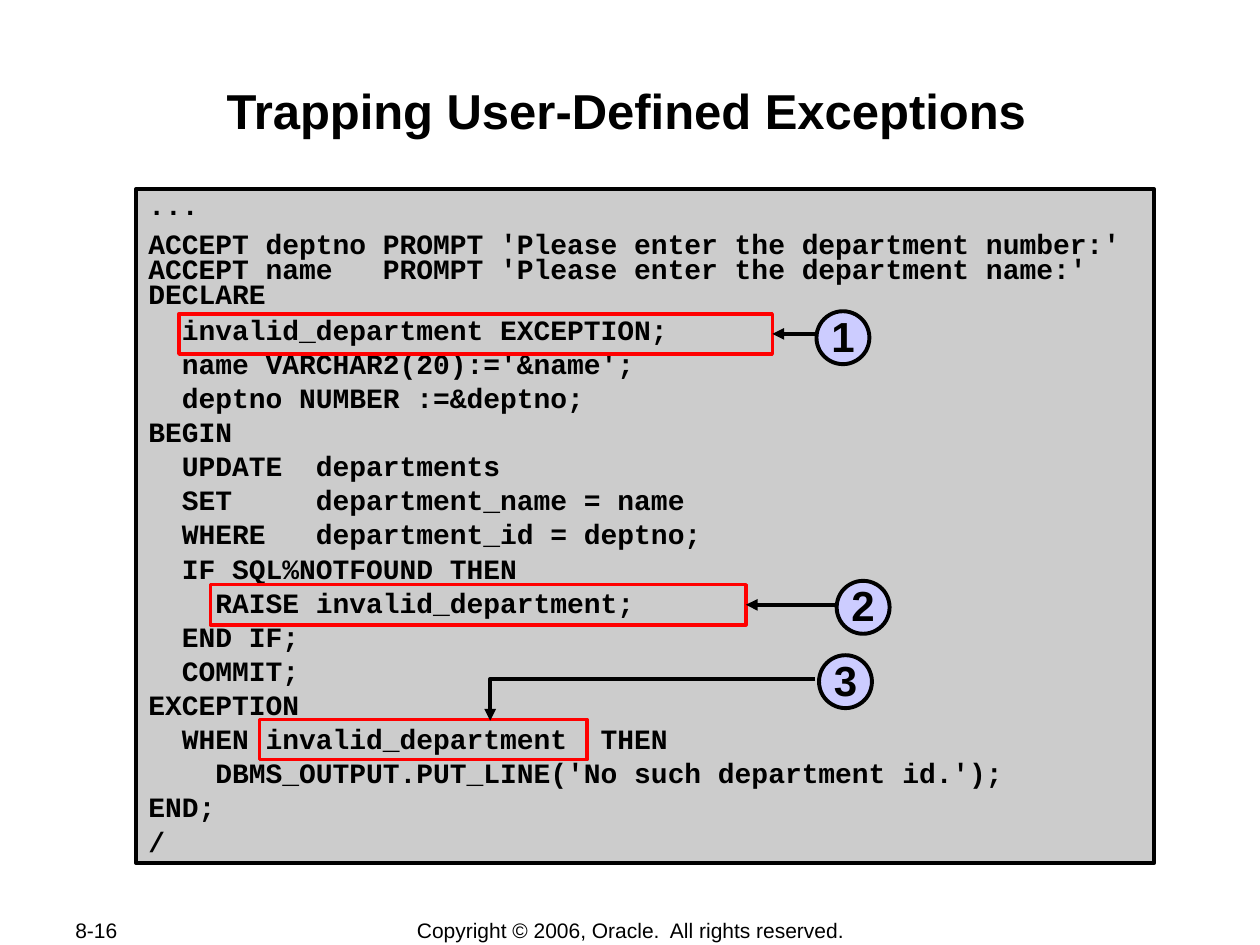
from dataclasses import dataclass

from pptx import Presentation, util as u
from pptx.dml.color import RGBColor
from pptx.enum import shapes, text
from pptx.oxml.ns import qn
from lxml import etree

COLS, ROWS = 100, 75


@dataclass(frozen=True)
class Theme:
    ink: str = "000000"
    panel: str = "CCCCCC"
    badge: str = "CCCCFF"
    mark: str = "FF0000"
    sans: str = "Arial"
    mono: str = "Courier New"
    title: int = 28
    badge_size: int = 24
    code: int = 16
    footer: int = 12
    line: float = 2.25
    mark_line: float = 2


class Deck:
    """Holds the theme and the current slide; lengths are grid columns and rows."""

    def __init__(self, theme):
        self.theme = theme
        self.prs = Presentation()
        self.prs.slide_width, self.prs.slide_height = u.Inches(10), u.Inches(7.5)
        self.s = self.prs.slides.add_slide(self.prs.slide_layouts[5])

    def x(self, cols):
        return round(self.prs.slide_width * cols / COLS)

    def y(self, rows):
        return round(self.prs.slide_height * rows / ROWS)

    def box(self, left, top, width, height):
        return self.x(left), self.y(top), self.x(width), self.y(height)

    def set_text(self, sp, lines, size, font=None, bold=True, align=text.PP_ALIGN.LEFT,
                 anchor=text.MSO_ANCHOR.MIDDLE, wrap=False, inset=(0.1, 0.05)):
        """Fills the shape with one paragraph per line and returns the paragraphs."""
        tf = sp.text_frame
        tf.text = "\n".join(lines)
        tf.word_wrap, tf.vertical_anchor = wrap, anchor
        tf.auto_size = text.MSO_AUTO_SIZE.NONE
        tf.margin_left = tf.margin_right = u.Inches(inset[0])
        tf.margin_top = tf.margin_bottom = u.Inches(inset[1])
        for p in tf.paragraphs:
            p.alignment = align
            for r in p.runs:
                r.font.name, r.font.size, r.font.bold = font or self.theme.sans, u.Pt(size), bold
                r.font.color.rgb = RGBColor.from_string(self.theme.ink)
        return tf.paragraphs

    def outline(self, sp, color, width):
        sp.line.color.rgb = RGBColor.from_string(color)
        sp.line.width = u.Pt(width)

    def title(self, words, *place):
        sp = self.s.shapes.title
        sp.left, sp.top, sp.width, sp.height = self.box(*place)
        self.set_text(sp, [words], self.theme.title, align=text.PP_ALIGN.CENTER,
                      anchor=text.MSO_ANCHOR.TOP, wrap=True, inset=(0.01, 0.06))

    def footer(self, words, align, *place):
        sp = self.s.shapes.add_textbox(*self.box(*place))
        self.set_text(sp, [words], self.theme.footer, bold=False, align=align)

    def shape(self, kind, place, fill, color, width):
        sp = self.s.shapes.add_shape(kind, *self.box(*place))
        sp.shadow.inherit = False
        if fill:
            sp.fill.solid()
            sp.fill.fore_color.rgb = RGBColor.from_string(fill)
        else:
            sp.fill.background()
        self.outline(sp, color, width)
        return sp

    def code(self, lines, tight_from, *place):
        """Code panel; lines from index tight_from on have tighter spacing."""
        t = self.theme
        sp = self.shape(shapes.MSO_SHAPE.RECTANGLE, place, t.panel, t.ink, t.line)
        paragraphs = self.set_text(sp, lines, t.code, t.mono, anchor=text.MSO_ANCHOR.TOP,
                                   wrap=True)
        for i, p in enumerate(paragraphs):
            p.line_spacing = 0.6 if i >= tight_from else 0.75
            p.space_before = u.Pt(8 if i else 0)

    def highlight(self, *place):
        t = self.theme
        return self.shape(shapes.MSO_SHAPE.RECTANGLE, place, None, t.mark, t.mark_line)

    def badge(self, number, left, top, size=4.2):
        t = self.theme
        sp = self.shape(shapes.MSO_SHAPE.OVAL, (left, top, size, size), t.badge, t.ink, t.line)
        p, = self.set_text(sp, [str(number)], t.badge_size, align=text.PP_ALIGN.CENTER,
                           inset=(0.05, 0.05))
        p.line_spacing = 0.95
        return sp

    def arrowhead(self, sp):
        self.outline(sp, self.theme.ink, self.theme.line)
        ln = sp._element.spPr.find(qn("a:ln"))
        etree.SubElement(ln, qn("a:tailEnd"), type="triangle")

    def arrow(self, badge, target):
        """Level arrow from the badge to the middle of the target's right side."""
        y = target.top + target.height // 2
        sp = self.s.shapes.add_connector(shapes.MSO_CONNECTOR.STRAIGHT, badge.left, y,
                                         target.left + target.width, y)
        sp.end_connect(target, 3)
        self.arrowhead(sp)
        etree.SubElement(sp._element.spPr, qn("a:effectLst"))

    def bent_arrow(self, *points):
        start, *rest = [(self.x(a), self.y(b)) for a, b in points]
        builder = self.s.shapes.build_freeform(*start)
        builder.add_line_segments(rest, close=False)
        sp = builder.convert_to_shape()
        sp.shadow.inherit = False
        sp.fill.background()
        self.arrowhead(sp)


CODE = [
    "...",
    "ACCEPT deptno PROMPT 'Please enter the department number:' "
    "ACCEPT name   PROMPT 'Please enter the department name:'\vDECLARE",
    "  invalid_department EXCEPTION;",
    "  name VARCHAR2(20):='&name';",
    "  deptno NUMBER :=&deptno;",
    "BEGIN",
    "  UPDATE  departments",
    "  SET     department_name = name",
    "  WHERE   department_id = deptno;",
    "  IF SQL%NOTFOUND THEN",
    "    RAISE invalid_department;",
    "  END IF;",
    "  COMMIT;",
    "EXCEPTION",
    "  WHEN invalid_department  THEN",
    "    DBMS_OUTPUT.PUT_LINE('No such department id.');",
    "END;",
    "/",
]


def main():
    d = Deck(Theme())
    d.footer("8-16", text.PP_ALIGN.LEFT, 5, 72.8, 10.6, 2)
    d.footer("Copyright © 2006, Oracle.  All rights reserved.", text.PP_ALIGN.CENTER,
             27.6, 72.8, 44.9, 2.1)
    d.title("Trapping User-Defined Exceptions", 9.7, 5.8, 80, 9.6)
    d.code(CODE, 2, 10.8, 15, 80.8, 53.5)

    declare = d.highlight(14.2, 24.9, 47.1, 3.2)
    raising = d.highlight(16.7, 46.4, 42.5, 3.2)
    d.highlight(20.6, 57.1, 26, 3.2)

    d.arrow(d.badge(1, 64.8, 24.7), declare)
    d.arrow(d.badge(2, 66.4, 46.1), raising)
    d.badge(3, 65, 52)
    d.bent_arrow((64.7, 53.9), (38.9, 53.9), (38.9, 57.2))
    d.prs.save("out.pptx")


if __name__ == "__main__":
    main()
